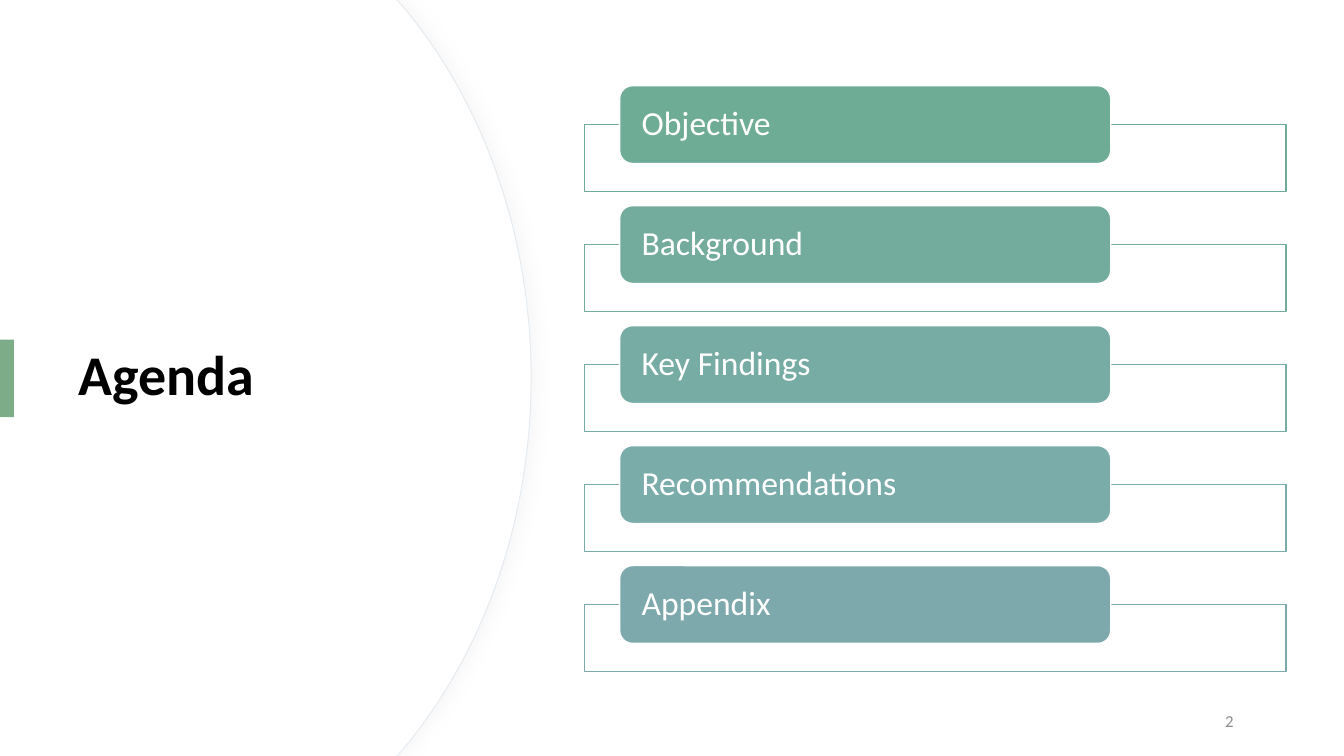
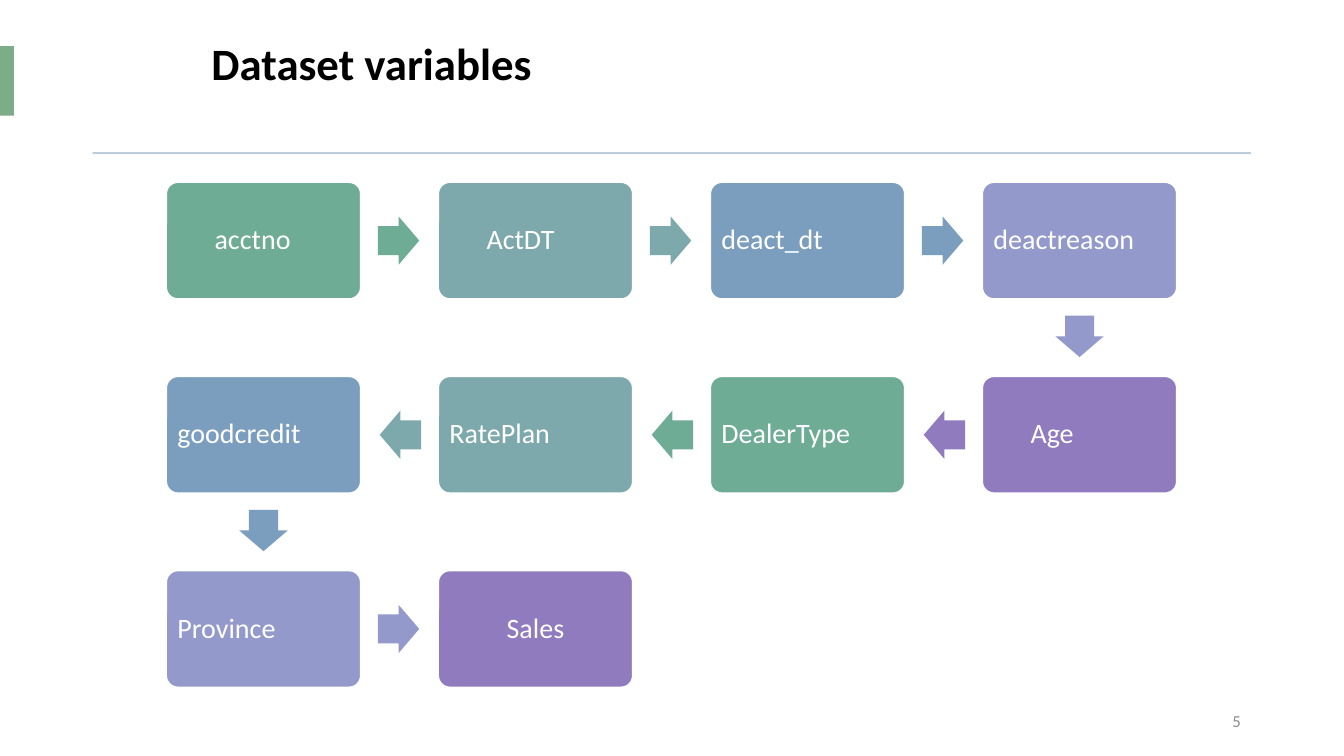
from itertools import cycle
from lxml.etree import SubElement
from pptx import Presentation
from pptx.dml.color import RGBColor
from pptx.enum.shapes import MSO_SHAPE
from pptx.enum.text import MSO_ANCHOR, MSO_AUTO_SIZE, PP_ALIGN
from pptx.oxml.ns import qn
from pptx.util import Pt

WIDE, HIGH = 960, 540
FONT = "Calibri"
BLACK = RGBColor(0x00, 0x00, 0x00)
WHITE = RGBColor(0xFF, 0xFF, 0xFF)
GREY = RGBColor(0x8C, 0x8C, 0x8C)
ACCENT = RGBColor(0x7D, 0xAD, 0x88)
RULE = RGBColor(0xBD, 0xCC, 0xDB)
EDGE = RGBColor(0xE5, 0xEB, 0xF0)
SHADE = RGBColor(0xD9, 0xD9, 0xD9)
GREEN = RGBColor(0x6F, 0xAC, 0x96)
TEAL = RGBColor(0x7D, 0xA9, 0xAC)
BLUE = RGBColor(0x7B, 0x9E, 0xBE)
LILAC = RGBColor(0x93, 0x99, 0xCA)
PURPLE = RGBColor(0x8F, 0x7B, 0xBE)
FLOW = (GREEN, TEAL, BLUE, LILAC, PURPLE)

AGENDA = (
    ("Objective", GREEN),
    ("Background", RGBColor(0x73, 0xAC, 0x9D)),
    ("Key Findings", RGBColor(0x76, 0xAC, 0xA4)),
    ("Recommendations", RGBColor(0x7A, 0xAC, 0xAA)),
    ("Appendix", TEAL),
)
NEAR, FAR = 5.5, 32
# Each name with its left padding; None centres it.
FIELDS = (
    ("acctno", FAR), ("ActDT", FAR), ("deact_dt", NEAR), ("deactreason", NEAR),
    ("Age", FAR), ("DealerType", NEAR), ("RatePlan", NEAR),
    ("goodcredit", NEAR), ("Province", NEAR), ("Sales", None),
)


def write(shape, text, size, color=WHITE, bold=False, align=PP_ALIGN.LEFT,
          anchor=MSO_ANCHOR.MIDDLE, pad=(7.2, 3.6, 7.2), lead=0.9):
    """Set the text; pad holds the left, vertical and right margins."""
    frame = shape.text_frame
    frame.word_wrap = True
    frame.auto_size = MSO_AUTO_SIZE.NONE
    frame.vertical_anchor = anchor
    frame.margin_left, frame.margin_right = Pt(pad[0]), Pt(pad[2])
    frame.margin_top = frame.margin_bottom = Pt(pad[1])
    para = frame.paragraphs[0]
    para.alignment = align
    para.line_spacing = lead
    run = para.add_run()
    run.text = text
    font = run.font
    font.name, font.size, font.bold = FONT, Pt(size), bold
    font.color.rgb = color


def paint(shape, fill, line=None, width=1):
    shape.shadow.inherit = False
    shape.fill.solid()
    shape.fill.fore_color.rgb = fill
    if line is None:
        shape.line.fill.background()
    else:
        shape.line.color.rgb = line
        shape.line.width = Pt(width)


def add_box(slide, box, fill, line=None, kind=MSO_SHAPE.RECTANGLE, adjust=()):
    shape = slide.shapes.add_shape(kind, *map(Pt, box))
    for index, value in enumerate(adjust):
        shape.adjustments[index] = value
    paint(shape, fill, line)
    return shape


def set_title(slide, text, box, **style):
    """Fill the title and bring it in front of what is drawn so far."""
    title = slide.shapes.title
    title.left, title.top, title.width, title.height = map(Pt, box)
    write(title, text, color=BLACK, bold=True, **style)
    title.element.getparent().append(title.element)


def add_tab(slide, top, height):
    add_box(slide, (0, top, 10, height), ACCENT)


def add_page(slide, number, right):
    box = slide.shapes.add_textbox(Pt(right - 200), Pt(500.5), Pt(200), Pt(28.8))
    write(box, number, 12, color=GREY, align=PP_ALIGN.RIGHT, lead=1)


def add_panel(slide, shift=0):
    """Draw the white panel whose right side bulges as two Bezier curves."""
    upper = [(283.7, 0), (288.7, 5.8), (344.9, 73.4), (379.4, 167)]
    lower = [(x, HIGH - y) for x, y in reversed(upper)]
    outline = [(Pt(x - shift), Pt(y)) for x, y in upper + [(379.4, HIGH / 2)] + lower]
    builder = slide.shapes.build_freeform(0, 0)
    builder.add_line_segments(outline + [(0, Pt(HIGH))], close=True)
    panel = builder.convert_to_shape()
    sides = list(panel.element.iter(qn("a:lnTo")))
    for start in (2, 5):
        bend(sides[start:start + 3])
    return panel


def bend(sides):
    """Turn three line ends into the points of one cubic curve."""
    curve = sides[0].makeelement(qn("a:cubicBezTo"))
    sides[0].addprevious(curve)
    for side in sides:
        curve.append(side[0])
        side.getparent().remove(side)


def add_shade(shape):
    effects = shape.element.spPr.find(qn("a:effectLst"))
    shade = SubElement(effects, qn("a:outerShdw"), blurRad=str(Pt(10)),
                       dist=str(Pt(4)), dir="0", algn="l", rotWithShape="0")
    color = SubElement(shade, qn("a:srgbClr"), val=str(SHADE))
    SubElement(color, qn("a:alpha"), val="20000")


def add_topic(slide, row, text, color):
    top = 61.2 + 85.7 * row
    add_box(slide, (417.6, top + 27.8, 501.1, 47.8), WHITE, color)
    bar = add_box(slide, (442.6, top, 350.8, 55.6), color, WHITE,
                  MSO_SHAPE.ROUNDED_RECTANGLE)
    write(bar, text, 24, pad=(13, 0, 13))


def add_arrow(slide, mid, move, color):
    """Point an arrow from the card centred at mid to the next one."""
    across, down = move
    wide, high = 29.6, 34.6
    x, y = mid[0] + 96.5 * across, mid[1] + 68.4 * down
    arrow = add_box(slide, (x - wide / 2, y - high / 2, wide, high), color,
                    kind=MSO_SHAPE.RIGHT_ARROW, adjust=(0.6, 0.5))
    arrow.rotation = 90 if down else 90 - 90 * across


def add_flow(slide, fields, cols=4):
    """Lay cards along a path that turns back at each row's end."""
    wide, high = 138.8, 83.3
    cells = []
    for index in range(len(fields)):
        row, col = divmod(index, cols)
        cells.append((cols - 1 - col if row % 2 else col, row))
    for index, ((name, inset), color) in enumerate(zip(fields, cycle(FLOW))):
        col, row = cells[index]
        left, top = 118.8 + 194.3 * col, 130.2 + 138.7 * row
        card = add_box(slide, (left, top, wide, high), color, WHITE,
                       MSO_SHAPE.ROUNDED_RECTANGLE, (0.1,))
        align = PP_ALIGN.CENTER if inset is None else PP_ALIGN.LEFT
        write(card, name, 20, align=align, pad=(inset or NEAR, NEAR, NEAR))
        if index + 1 < len(cells):
            after = cells[index + 1]
            add_arrow(slide, (left + wide / 2, top + high / 2),
                      (after[0] - col, after[1] - row), color)


def agenda(slide):
    panel = add_panel(slide)
    paint(panel, WHITE, EDGE, 0.75)
    add_shade(panel)
    paint(add_panel(slide, shift=0.7), WHITE)
    set_title(slide, "Agenda", (49, 91.4, 283.7, 356.4), size=40)
    add_tab(slide, 242.6, 55.4)
    for row, (text, color) in enumerate(AGENDA):
        add_topic(slide, row, text, color)
    add_page(slide, "2", 888.3)


def dataset(slide):
    add_tab(slide, 33, 49.6)
    add_box(slide, (66.2, 108.7, 827.3, 1.4), RULE)
    add_page(slide, "5", 893.5)
    add_flow(slide, FIELDS)
    set_title(slide, "Dataset variables", (85.9, 26.6, 359.3, 42.5), size=32,
              align=PP_ALIGN.CENTER, anchor=MSO_ANCHOR.TOP)


def main():
    deck = Presentation()
    deck.slide_width, deck.slide_height = Pt(WIDE), Pt(HIGH)
    for build in (agenda, dataset):
        build(deck.slides.add_slide(deck.slide_layouts[5]))
    deck.save("out.pptx")


if __name__ == "__main__":
    main()
